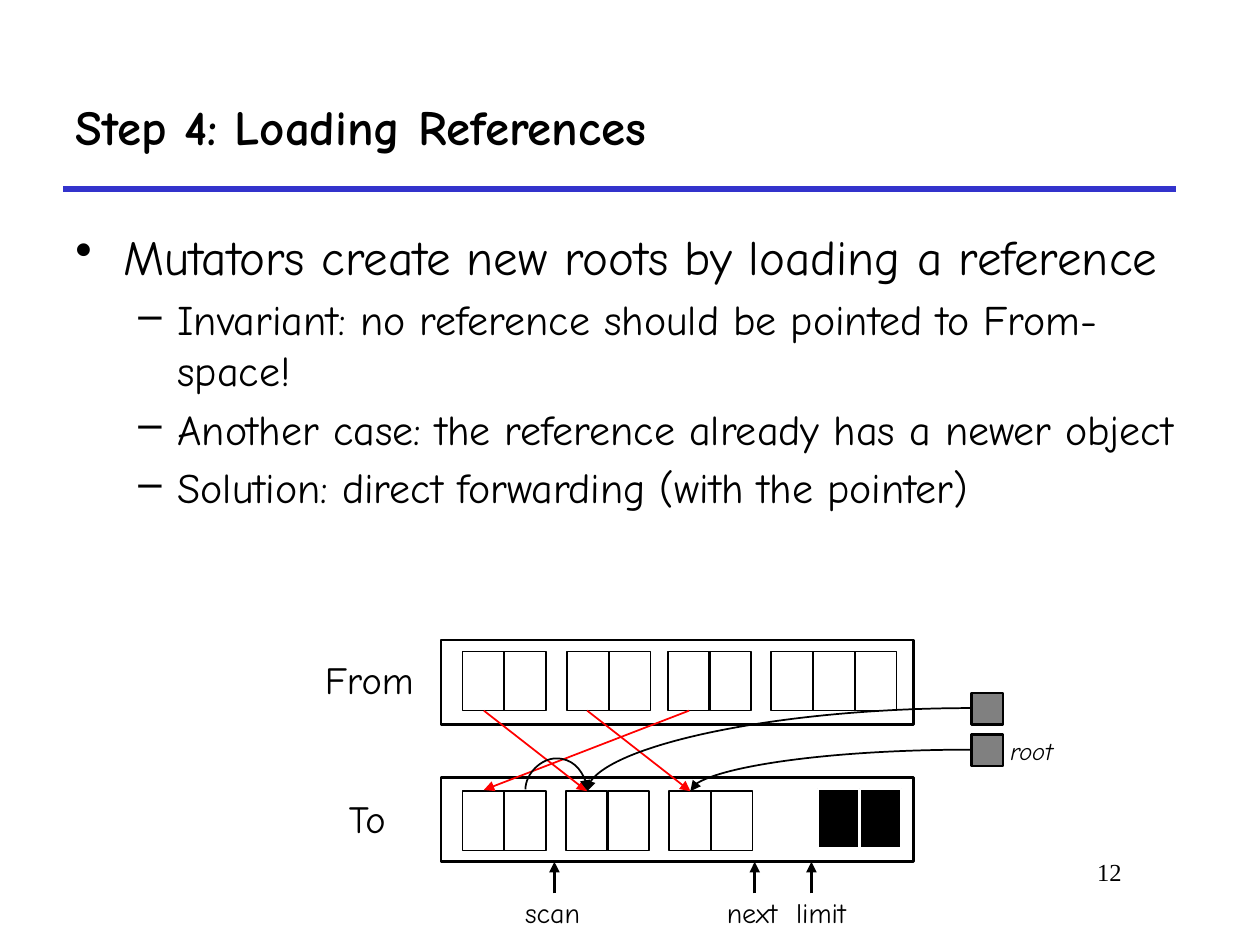
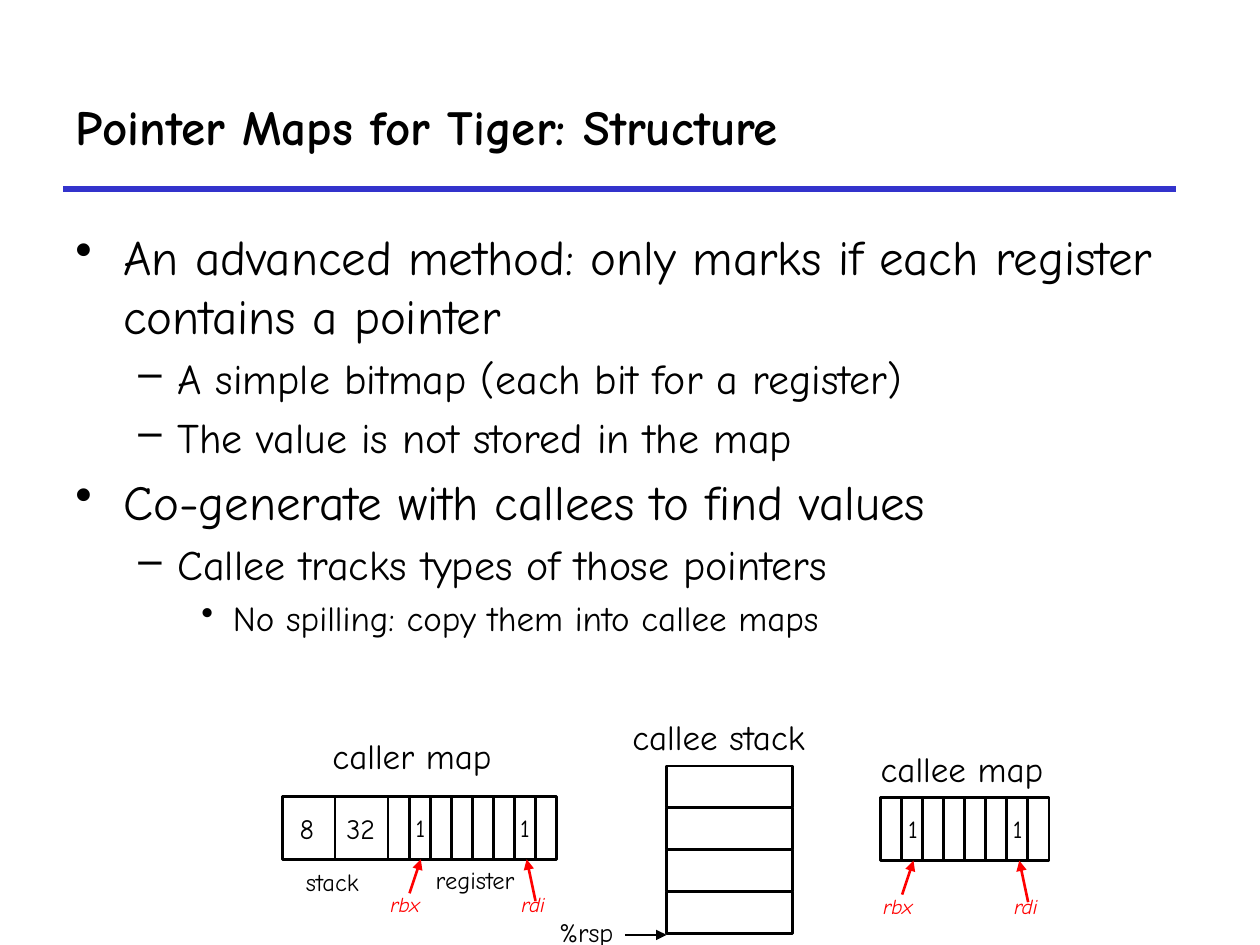
from dataclasses import dataclass
from typing import Any

from pptx import Presentation
from pptx.dml.color import RGBColor
from pptx.enum.shapes import MSO_CONNECTOR as Link, MSO_SHAPE as Shape
from pptx.enum.text import MSO_ANCHOR as Anchor, MSO_AUTO_SIZE as Auto, PP_ALIGN as Align
from pptx.oxml.ns import qn
from pptx.util import Inches, Pt
from lxml.etree import SubElement

BLACK = RGBColor(0x00, 0x00, 0x00)
WHITE = RGBColor(0xFF, 0xFF, 0xFF)
GREY = RGBColor(0x80, 0x80, 0x80)
RED = RGBColor(0xFF, 0x00, 0x00)
BLUE = RGBColor(0x33, 0x33, 0xCC)
FONT = "Comic Neue"
LEVELS = [("•", 28, 0.38, 0.38), ("–", 24, 0.81, 0.31), ("•", 20, 1.25, 0.25)]


@dataclass
class Area:
    shapes: Any
    x: float = 0
    y: float = 0

    def sub(self, x, y):
        return Area(self.shapes, self.x + x, self.y + y)

    def place(self, x, y):
        return Inches(self.x + x), Inches(self.y + y)


def style(font, size, color=BLACK, bold=False, italic=False, face=FONT):
    font.name = face
    font.size = Pt(size)
    font.bold = bold
    font.italic = italic
    font.color.rgb = color


def text(area, words, x, y, w, h, size=14, align=Align.LEFT, wrap=False, **look):
    box = area.shapes.add_textbox(*area.place(x, y), Inches(w), Inches(h))
    frame = box.text_frame
    frame.word_wrap = wrap
    frame.auto_size = Auto.NONE if wrap else Auto.SHAPE_TO_FIT_TEXT
    para = frame.paragraphs[0]
    para.text = words
    para.alignment = align
    style(para.font, size, **look)


def rect(area, x, y, w, h, fill=None, line=BLACK, width=1.5):
    box = area.shapes.add_shape(Shape.RECTANGLE, *area.place(x, y), Inches(w), Inches(h))
    box.shadow.inherit = False
    if fill is None:
        box.fill.background()
    else:
        box.fill.solid()
        box.fill.fore_color.rgb = fill
    box.line.color.rgb = line
    box.line.width = Pt(width)


def link(area, start, end, color=BLACK, width=1, kind=Link.STRAIGHT, head=True):
    line = area.shapes.add_connector(kind, *area.place(*start), *area.place(*end))
    line.line.color.rgb = color
    line.line.width = Pt(width)
    props = line._element.spPr
    if head:
        SubElement(props.find(qn("a:ln")), qn("a:tailEnd"), type="triangle")
    SubElement(props, qn("a:effectLst"))
    return props


def bend(area, start, end):
    props = link(area, start, end, kind=Link.CURVE)
    props.find(qn("a:prstGeom")).set("prst", "curvedConnector2")


def arch(area, x, y, span, rise):
    thick = 0.01
    mid = x + span / 2
    props = link(area, (mid - thick / 2, y - span / 2), (mid + thick / 2, y + span / 2),
                 kind=Link.CURVE)
    form = props.find(qn("a:xfrm"))
    form.set("rot", str(270 * 60000))
    form.set("flipH", "1")
    guides = props.find(qn("a:prstGeom")).get_or_add_avLst()
    ratio = round(-rise / thick * 100000)
    SubElement(guides, qn("a:gd"), name="adj1", fmla=f"val {ratio}")


def frame_page(deck, title, points):
    slide = deck.slides.add_slide(deck.slide_layouts[5])
    area = Area(slide.shapes)
    link(area, (0.5, 1.5), (9.33, 1.5), BLUE, 3, head=False)
    head = slide.shapes.title
    head.left, head.top = Inches(0.5), Inches(0.5)
    head.width, head.height = Inches(8.83), Inches(1)
    head.text_frame.text = title
    head.text_frame.vertical_anchor = Anchor.MIDDLE
    para = head.text_frame.paragraphs[0]
    para.alignment = Align.LEFT
    style(para.font, 28, bold=True)
    outline(area.sub(0.5, 1.75), points)
    return area


def outline(area, points):
    box = area.shapes.add_textbox(*area.place(0, 0), Inches(9.08), Inches(4.83))
    frame = box.text_frame
    frame.word_wrap = True
    for i, (level, words) in enumerate(points):
        mark, size, left, hang = LEVELS[level]
        para = frame.paragraphs[0] if i == 0 else frame.add_paragraph()
        para.text = words
        props = para._p.get_or_add_pPr()
        props.set("marL", str(Inches(left)))
        props.set("indent", str(-Inches(hang)))
        SubElement(props, qn("a:buChar"), char=mark)
        para.level = level
        para.space_before = Pt(size * 0.2 if i else 0)
        style(para.font, size)


def cells(area, x, y, count, **look):
    for i in range(count):
        rect(area, x + i / 3, y, 0.33, 0.47, width=1, **look)


def heap(area):
    low = area.sub(0, 1.09)
    for space, name, x, y, w in ((area, "From", -1.02, 0.08, 0.94),
                                 (low, "To", -0.83, 0.09, 0.58)):
        rect(space, 0, 0, 3.75, 0.67)
        text(space, name, x, y, w, 0.47, size=22)
    for x, count in ((0.17, 2), (1, 2), (1.8, 2), (2.62, 3)):
        cells(area, x, 0.09, count)
    for x in (0.17, 0.99, 1.81):
        cells(low, x, 0.11, 2)
    cells(low, 2.99, 0.09, 2, fill=BLACK, line=WHITE)

    first, second, third = (0.34, 1.19), (1.16, 1.2), (1.98, 1.2)
    for x, goal in ((0.34, second), (1.16, third), (1.97, first)):
        link(area, (x, 0.56), goal, RED)
    arch(area, 0.67, 1.19, 0.49, 0.25)
    for y, goal in ((0.42, second), (0.75, third)):
        rect(area, 4.21, y, 0.25, 0.25, fill=GREY)
        bend(area, (4.21, y + 0.12), goal)
    text(area, "root", 4.42, 0.71, 0.6, 0.34, italic=True)

    for name, tip, x, w in (("scan", 0.9, 0.57, 0.66), ("next", 2.49, 2.17, 0.68),
                            ("limit", 2.94, 2.72, 0.67)):
        link(area, (tip, 2.01), (tip, 1.76), width=2)
        text(area, name, x, 1.98, w, 0.37, size=16)


def bitmap(area):
    for i in range(8):
        rect(area, i / 6, 0, 0.17, 0.5)
    for x in (0.12, 0.95):
        text(area, "1", x, 0.08, 0.29, 0.34)
    for name, x, w, start, tip in (("rbx", -0.08, 0.48, (0.17, 0.77), 0.26),
                                   ("rdi", 0.96, 0.43, (1.17, 0.83), 1.1)):
        text(area, name, x, 0.71, w, 0.3, size=12, color=RED, italic=True)
        link(area, start, (tip, 0.5), RED, 1.5)


def caller(area):
    text(area, "caller map", 0.3, -0.54, 1.53, 0.44, size=20)
    for i, (value, x, w) in enumerate((("8", 0.04, 0.34), ("32", 0.41, 0.48))):
        rect(area, i * 0.42, 0, 0.42, 0.5)
        text(area, value, x, 0.07, w, 0.37, size=16)
    bitmap(area.sub(0.84, 0))
    text(area, "stack", 0.09, 0.51, 0.7, 0.34)
    text(area, "register", 1.12, 0.5, 0.95, 0.34)


def stack(area):
    text(area, "callee stack", -0.37, -0.45, 1.74, 0.44, size=20)
    for i in range(4):
        rect(area, 0, i / 3, 1, 0.33)
    link(area, (-0.33, 1.34), (0, 1.34), width=0.75)
    text(area, "%rsp", -0.95, 1.14, 0.69, 0.35, size=15)


def callee(area):
    text(area, "callee map", -0.1, -0.45, 1.55, 0.44, size=20)
    bitmap(area)


def loading(deck):
    area = frame_page(deck, "Step 4: Loading References", [
        (0, "Mutators create new roots by loading a reference"),
        (1, "Invariant: no reference should be pointed to From-space!"),
        (1, "Another case: the reference already has a newer object"),
        (1, "Solution: direct forwarding (with the pointer)"),
    ])
    text(area, "12", 6.92, 6.75, 2.08, 0.5, align=Align.RIGHT, wrap=True,
         face="Times New Roman")
    heap(area.sub(3.5, 5.08))


def maps(deck):
    area = frame_page(deck, "Pointer Maps for Tiger: Structure", [
        (0, "An advanced method: only marks if each register contains a pointer"),
        (1, "A simple bitmap (each bit for a register)"),
        (1, "The value is not stored in the map"),
        (0, "Co-generate with callees to find values"),
        (1, "Callee tracks types of those pointers"),
        (2, "No spilling: copy them into callee maps"),
    ])
    caller(area.sub(2.24, 6.32))
    stack(area.sub(5.29, 6.08))
    callee(area.sub(6.99, 6.33))


def main():
    deck = Presentation()
    deck.slide_width = Inches(10)
    deck.slide_height = Inches(7.5)
    loading(deck)
    maps(deck)
    deck.save("out.pptx")


if __name__ == "__main__":
    main()
